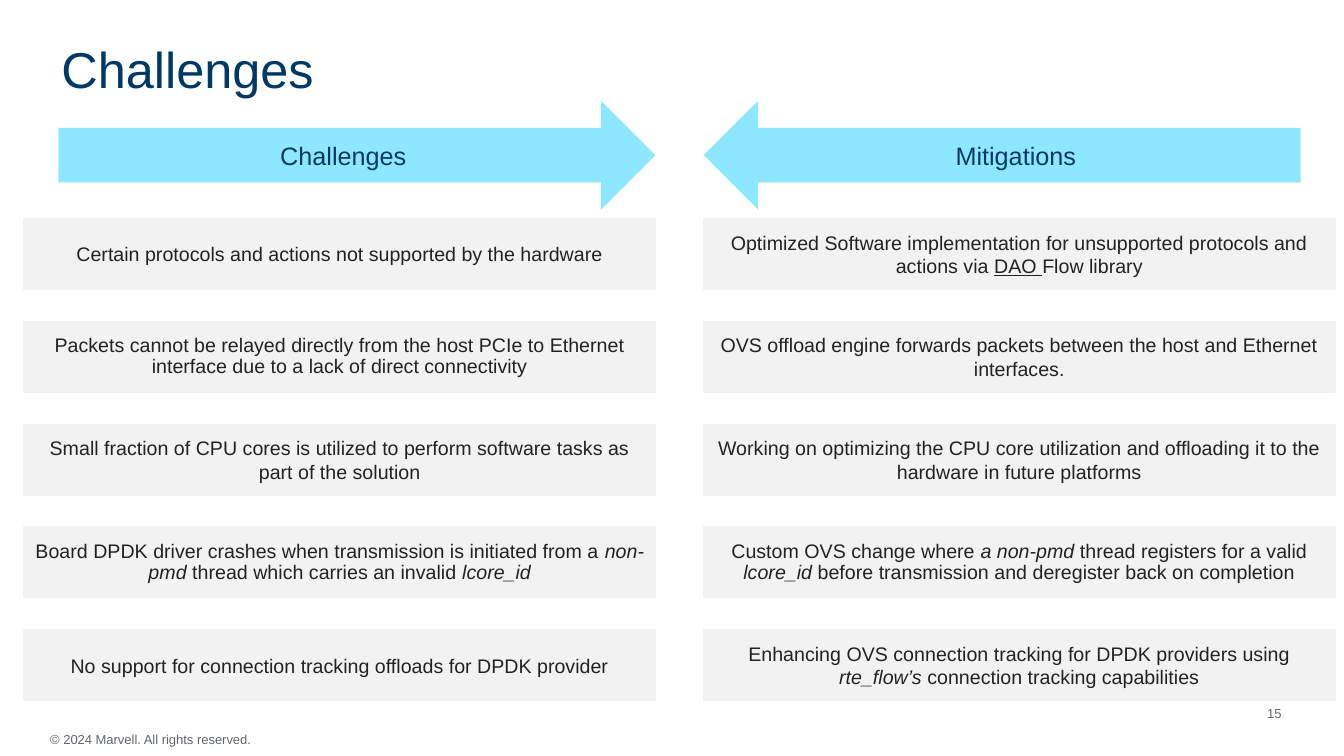
from pptx import Presentation
from pptx.dml.color import RGBColor
from pptx.enum import shapes, text
from pptx.util import Inches, Pt

TITLE = "Challenges"
NOTICE = "© 2024 Marvell. All rights reserved."
NUMBER = "15"

COLUMNS = [
    {
        "head": "Challenges",
        "arrow": shapes.MSO_SHAPE.RIGHT_ARROW,
        "left": 0.24,
        "start": 0.58,
        "rows": [
            (1, [("Certain protocols and actions not supported by the hardware", "")]),
            (0.9, [("Packets cannot be relayed directly from the host PCIe to Ethernet "
                    "interface due to a lack of direct connectivity", "")]),
            (1, [("Small fraction of CPU cores is utilized to perform software tasks as "
                  "part of the solution", "")]),
            (0.9, [("Board DPDK driver crashes when transmission is initiated from a ", ""),
                   ("non-pmd", "i"),
                   (" thread which carries an invalid ", ""),
                   ("lcore_id", "i")]),
            (1, [("No support for connection tracking offloads for DPDK provider", "")]),
        ],
    },
    {
        "head": "Mitigations",
        "arrow": shapes.MSO_SHAPE.LEFT_ARROW,
        "left": 6.98,
        "start": 6.98,
        "rows": [
            (1, [("Optimized Software implementation for unsupported protocols and "
                  "actions via ", ""),
                 ("DAO ", "u"),
                 ("Flow library", "")]),
            (1, [("OVS offload engine forwards packets between the host and Ethernet "
                  "interfaces.", "")]),
            (1, [("Working on optimizing the CPU core utilization and offloading it to the "
                  "hardware in future platforms", "")]),
            (0.9, [("Custom OVS change where ", ""),
                   ("a non-pmd ", "i"),
                   ("thread registers for a valid ", ""),
                   ("lcore_id ", "i"),
                   ("before transmission and deregister back on completion", "")]),
            (1, [("Enhancing OVS connection tracking for DPDK providers using ", ""),
                 ("rte_flow’s ", "i"),
                 ("connection tracking capabilities", "")]),
        ],
    },
]

THEME = {
    "font": "Arial",
    "navy": RGBColor(0x00, 0x39, 0x67),
    "sky": RGBColor(0x8D, 0xE8, 0xFF),
    "pale": RGBColor(0xF2, 0xF2, 0xF2),
    "ink": RGBColor(0x21, 0x23, 0x22),
    "gray": RGBColor(0x63, 0x66, 0x6A),
    "title": 36,
    "head": 18,
    "body": 14,
    "small": 9.3,
}

TOP, PITCH = 2.17, 1.02
ALIGN = text.PP_ALIGN
ANCHOR = text.MSO_ANCHOR


def write(frame, parts, size, color, align, anchor, pace=1):
    frame.word_wrap = True
    frame.auto_size = text.MSO_AUTO_SIZE.NONE
    frame.vertical_anchor = anchor
    para = frame.paragraphs[0]
    para.alignment = align
    para.line_spacing = pace
    for words, style in parts:
        run = para.add_run()
        run.text = words
        font = run.font
        font.name = THEME["font"]
        font.size = Pt(THEME[size])
        font.color.rgb = THEME[color]
        if style == "i":
            font.italic = True
        if style == "u":
            font.underline = True


def add_block(slide, kind, box, fill):
    block = slide.shapes.add_shape(kind, *map(Inches, box))
    block.shadow.inherit = False
    block.fill.solid()
    block.fill.fore_color.rgb = THEME[fill]
    block.line.fill.background()
    return block


def add_column(slide, column):
    arrow = add_block(slide, column["arrow"], (column["start"], 1, 5.92, 1.08), "sky")
    write(arrow.text_frame, [(column["head"], "")], "head", "navy",
          ALIGN.CENTER, ANCHOR.MIDDLE)
    for index, (pace, parts) in enumerate(column["rows"]):
        box = (column["left"], TOP + index * PITCH, 6.26, 0.7)
        card = add_block(slide, shapes.MSO_SHAPE.RECTANGLE, box, "pale")
        card.line.color.rgb = THEME["pale"]
        card.line.width = Pt(1)
        write(card.text_frame, parts, "body", "ink", ALIGN.CENTER, ANCHOR.MIDDLE, pace)


def add_note(slide, words, box, align, anchor):
    note = slide.shapes.add_textbox(*map(Inches, box))
    write(note.text_frame, [(words, "")], "small", "gray", align, anchor)


def main():
    deck = Presentation()
    deck.slide_width = Inches(13.33)
    deck.slide_height = Inches(7.5)
    slide = deck.slides.add_slide(deck.slide_layouts[5])

    title = slide.shapes.title
    title.left, title.top = Inches(0.51), Inches(0.4)
    title.width, title.height = Inches(12.82), Inches(0.83)
    write(title.text_frame, [(TITLE, "")], "title", "navy", ALIGN.LEFT, ANCHOR.TOP, 0.9)

    for column in COLUMNS:
        add_column(slide, column)

    add_note(slide, NUMBER, (12.28, 6.95, 0.53, 0.26), ALIGN.RIGHT, ANCHOR.MIDDLE)
    add_note(slide, NOTICE, (0.4, 7.21, 6.67, 0.26), ALIGN.LEFT, ANCHOR.TOP)
    deck.save("out.pptx")


if __name__ == "__main__":
    main()
